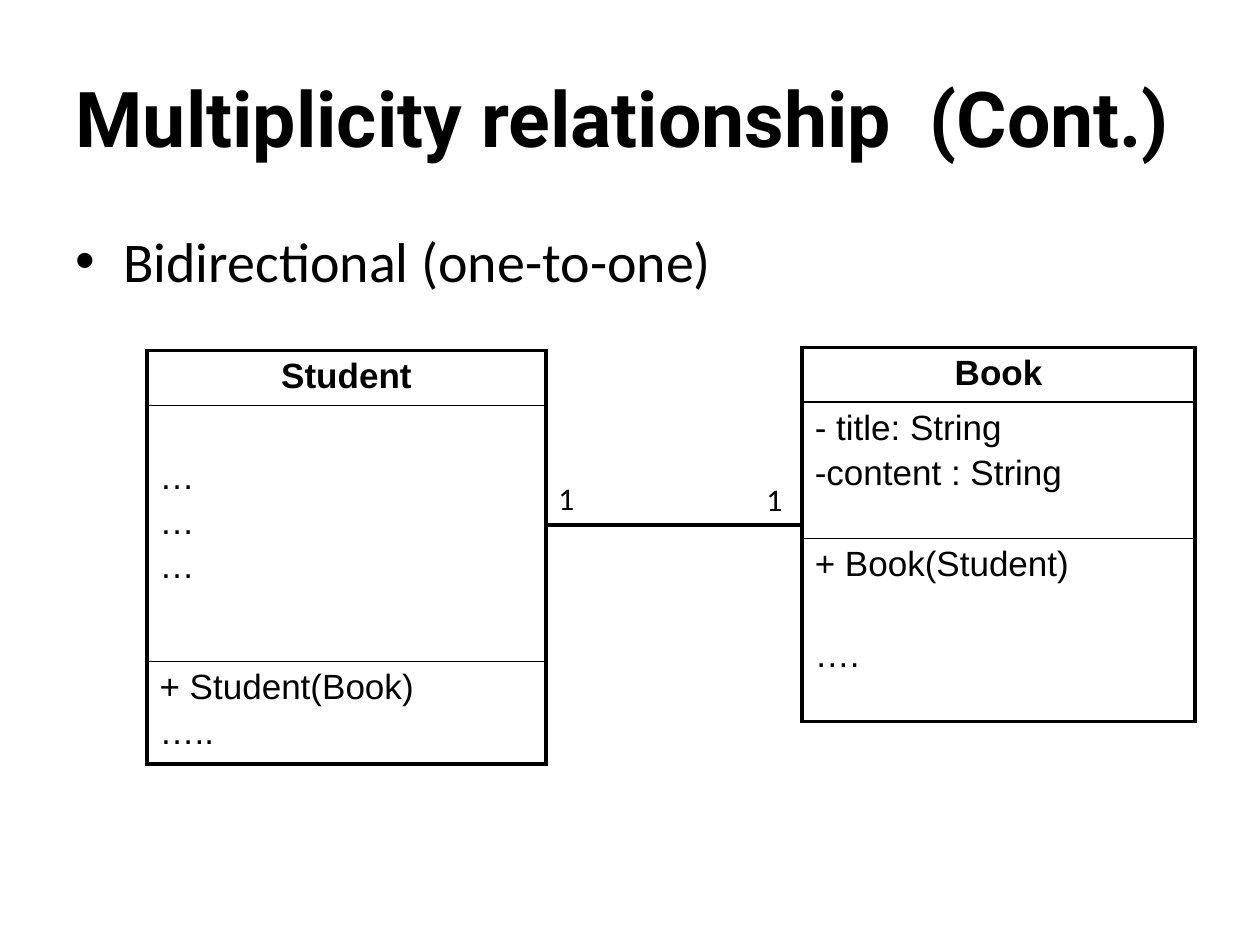
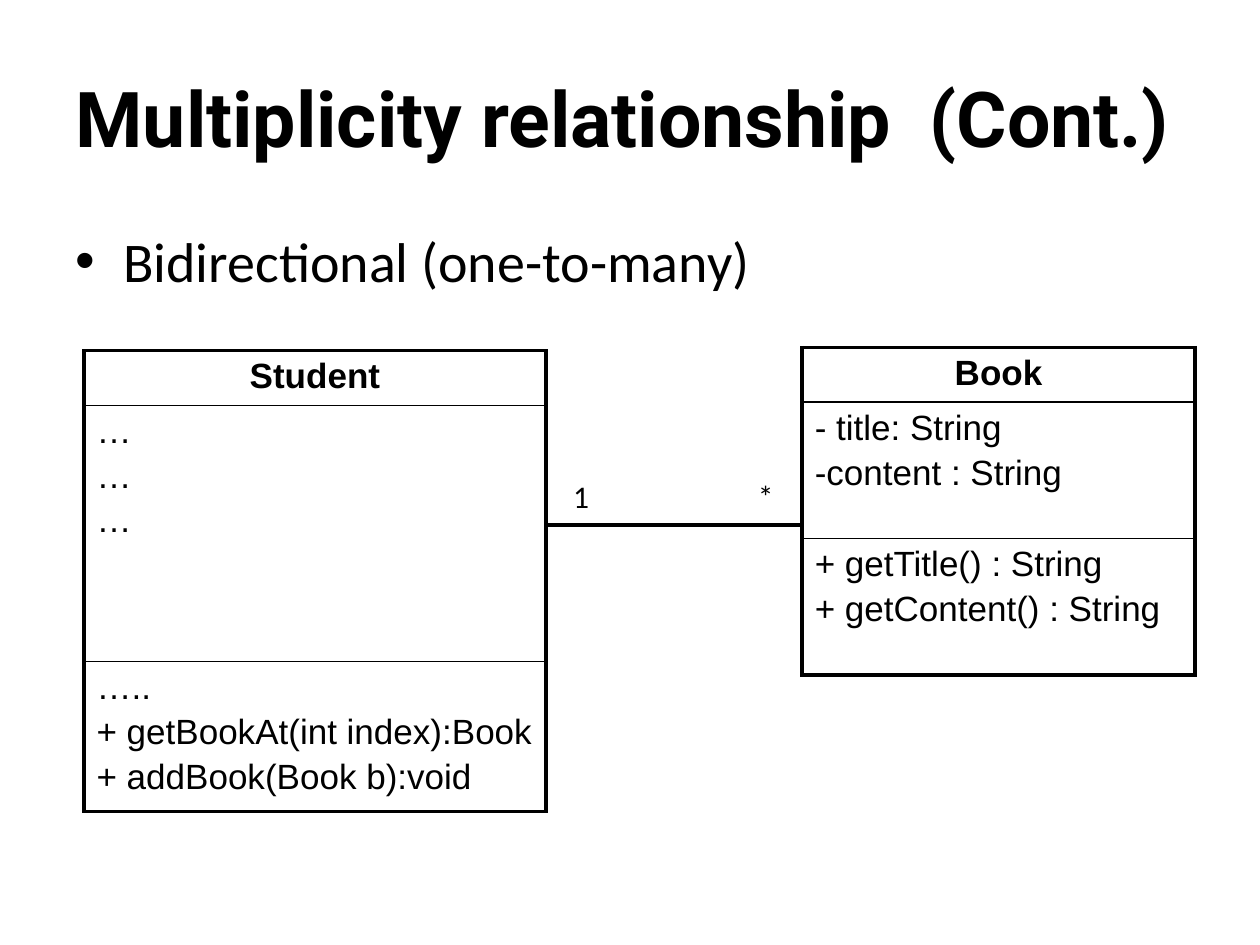
from lxml import etree
from pptx import Presentation
from pptx.dml.color import RGBColor
from pptx.enum.shapes import MSO_CONNECTOR
from pptx.enum.text import MSO_ANCHOR, MSO_AUTO_SIZE, PP_ALIGN
from pptx.oxml.ns import qn
from pptx.util import Inches, Pt

LEFT, CENTER = PP_ALIGN.LEFT, PP_ALIGN.CENTER
TOP, MIDDLE = MSO_ANCHOR.TOP, MSO_ANCHOR.MIDDLE
STRAIGHT = MSO_CONNECTOR.STRAIGHT
FIT_SHAPE = MSO_AUTO_SIZE.SHAPE_TO_FIT_TEXT

COLORS = {"ink": "000000"}
INK = RGBColor.from_string(COLORS["ink"])

# Square grid: 60 columns by 45 rows
WIDTH, HEIGHT = Inches(10), Inches(7.5)
UNIT = WIDTH / 60

FONTS = {
    "title": {"name": "Roboto", "size": Pt(44), "bold": True},
    "bullet": {"name": "Calibri", "size": Pt(32), "bold": False},
    "class name": {"name": "Arial", "size": Pt(20), "bold": True},
    "member": {"name": "Arial", "size": Pt(20), "bold": False},
    "multiplicity": {"name": "Calibri", "size": Pt(18), "bold": False},
}
MEMBER_GAP = 3.3      # points between members
MEMBER_LINE = 26.3    # points from one member to the next
FRAME_LINE, INNER_LINE = 2.25, 1

TITLE_BOX = (3, 1.8, 54, 7.5)
BULLET_BOX = (3, 10.5, 54, 29.7)
ASSOCIATION_Y = 25
STUDENT_RIGHT, BOOK_LEFT = 26, 38.2
NAME_ROW = 2.6
STUDENT_TOP, BOOK_TOP = 16.7, 16.55
BOOK_WIDTH = 18.7

HEADING = "Multiplicity relationship  (Cont.)"
BOOK_FIELDS = ["- title: String", "-content : String"]

# A section is (height in rows, members, lines skipped before given members)
SLIDES = [
    {
        "bullet": "Bidirectional (one-to-one)",
        "student_left": 7,
        "student": [(12.2, ["…", "…", "…"], {0: 1}),
                    (4.7, ["+ Student(Book)", "….."], {})],
        "book": [(6.5, BOOK_FIELDS, {}),
                 (8.7, ["+ Book(Student)", "…."], {1: 1})],
        "multiplicities": [("1", 26, 22.5), ("1", 35.9, 22.55)],
    },
    {
        "bullet": "Bidirectional (one-to-many)",
        "student_left": 4,
        "student": [(12.2, ["…", "…", "…"], {}),
                    (6.85, ["…..", "+ getBookAt(int index):Book",
                            "+ addBook(Book b):void"], {})],
        "book": [(6.5, BOOK_FIELDS, {}),
                 (6.5, ["+ getTitle() : String", "+ getContent() : String"], {})],
        "multiplicities": [("1", 26.7, 22.4), ("*", 35.5, 22.4)],
    },
]


def grid(*cells):
    return [round(cell * UNIT) for cell in cells]


def set_values(target, values):
    for key, value in values.items():
        setattr(target, key, value)


def write(paragraph, text, style, align=LEFT):
    run = paragraph.add_run()
    run.text = text
    set_values(run.font, FONTS[style])
    run.font.color.rgb = INK
    paragraph.alignment = align


def add_heading(slide, box):
    title = slide.shapes.title
    set_values(title, dict(zip(("left", "top", "width", "height"), grid(*box))))
    title.text_frame.vertical_anchor = MIDDLE
    write(title.text_frame.paragraphs[0], HEADING, "title")


def add_bullet(slide, text, box):
    frame = slide.shapes.add_textbox(*grid(*box)).text_frame
    frame.word_wrap = True
    paragraph = frame.paragraphs[0]
    write(paragraph, text, "bullet")
    # Hanging bullet
    properties = paragraph._p.get_or_add_pPr()
    properties.set("marL", str(Inches(0.38)))
    properties.set("indent", str(-Inches(0.38)))
    etree.SubElement(properties, qn("a:buFont"), typeface="Arial")
    etree.SubElement(properties, qn("a:buChar"), char="•")


def rule_cell(cell, top_width, bottom_width):
    properties = cell._tc.get_or_add_tcPr()
    edges = {"L": FRAME_LINE, "R": FRAME_LINE, "T": top_width, "B": bottom_width}
    for side, width in edges.items():
        line = etree.SubElement(properties, qn(f"a:ln{side}"), w=str(Pt(width)))
        fill = etree.SubElement(line, qn("a:solidFill"))
        etree.SubElement(fill, qn("a:srgbClr"), val=COLORS["ink"])
    cell.fill.background()


def fill_section(cell, members, skips):
    for index, member in enumerate(members):
        frame = cell.text_frame
        paragraph = frame.add_paragraph() if index else frame.paragraphs[0]
        write(paragraph, member, "member")
        skipped = skips.get(index, 0) * MEMBER_LINE
        if index:
            paragraph.space_before = Pt(MEMBER_GAP + skipped)
        else:
            cell.margin_top = Inches(0.05) + Pt(skipped)


def add_class(slide, name, left, top, width, sections):
    heights = [NAME_ROW] + [height for height, _, _ in sections]
    table = slide.shapes.add_table(
        len(heights), 1, *grid(left, top, width, sum(heights))).table
    set_values(table, {"first_row": False, "horz_banding": False})
    for row, height in zip(table.rows, grid(*heights)):
        row.height = height
    # Class name, then fields and methods
    cells = [table.cell(row, 0) for row in range(len(heights))]
    write(cells[0].text_frame.paragraphs[0], name, "class name", CENTER)
    for cell, (_, members, skips) in zip(cells[1:], sections):
        fill_section(cell, members, skips)
    for cell in cells:
        cell.vertical_anchor = TOP
        rule_cell(cell,
                  FRAME_LINE if cell is cells[0] else INNER_LINE,
                  FRAME_LINE if cell is cells[-1] else INNER_LINE)


def add_association(slide, left, right, y, multiplicities):
    association = slide.shapes.add_connector(STRAIGHT, *grid(left, y, right, y))
    association.line.color.rgb = INK
    association.line.width = Pt(2.5)
    etree.SubElement(association._element.spPr, qn("a:effectLst"))
    for text, label_left, label_top in multiplicities:
        frame = slide.shapes.add_textbox(
            *grid(label_left, label_top, 2, 2.4)).text_frame
        set_values(frame, {"word_wrap": False, "auto_size": FIT_SHAPE})
        write(frame.paragraphs[0], text, "multiplicity")


def add_relationship_slide(deck, content):
    slide = deck.slides.add_slide(deck.slide_layouts.get_by_name("Title Only"))
    add_heading(slide, TITLE_BOX)
    add_bullet(slide, content["bullet"], BULLET_BOX)
    student_left = content["student_left"]
    add_class(slide, "Student", student_left, STUDENT_TOP,
              STUDENT_RIGHT - student_left, content["student"])
    add_class(slide, "Book", BOOK_LEFT, BOOK_TOP, BOOK_WIDTH, content["book"])
    add_association(slide, STUDENT_RIGHT, BOOK_LEFT, ASSOCIATION_Y,
                    content["multiplicities"])


def main():
    deck = Presentation()
    set_values(deck, {"slide_width": WIDTH, "slide_height": HEIGHT})
    for content in SLIDES:
        add_relationship_slide(deck, content)
    deck.save("out.pptx")


if __name__ == "__main__":
    main()
